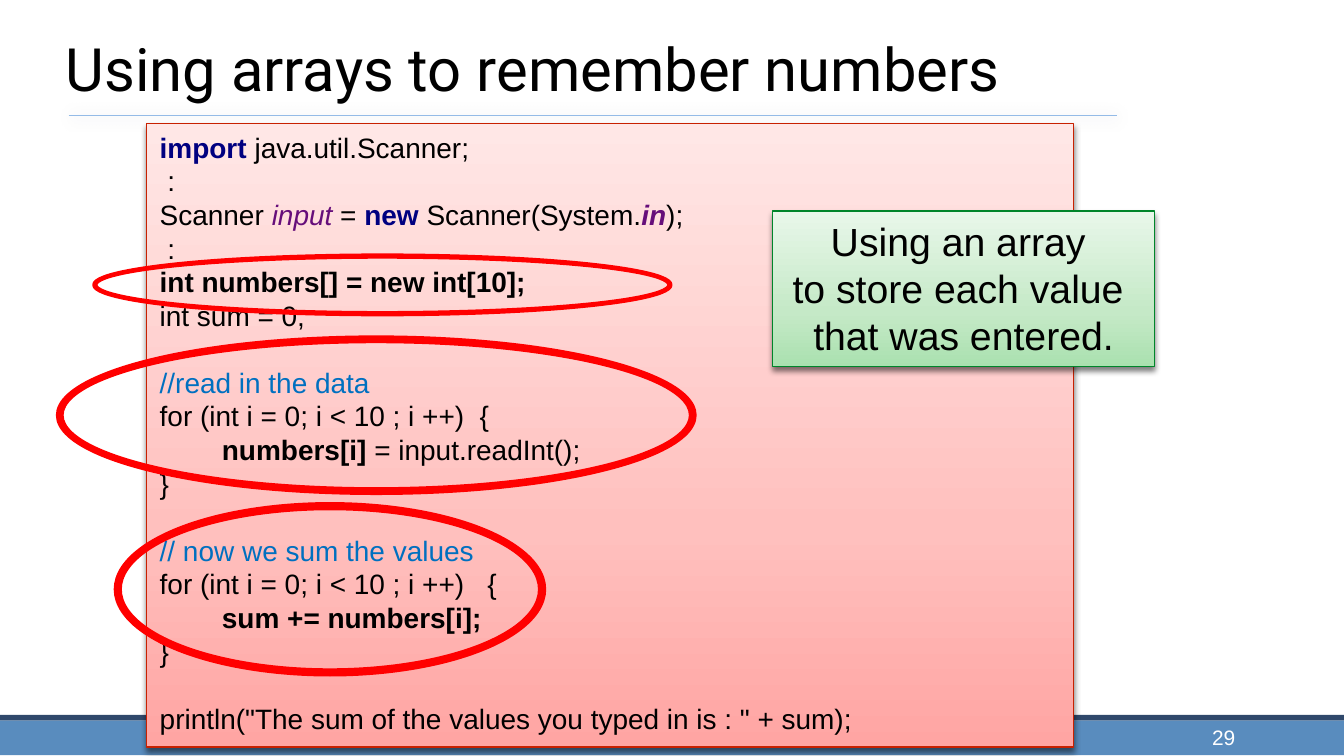
from dataclasses import dataclass
from typing import NamedTuple

from lxml import etree
from pptx import Presentation
from pptx.dml.color import RGBColor
from pptx.enum.shapes import MSO_CONNECTOR, MSO_SHAPE
from pptx.enum.text import MSO_ANCHOR, PP_ALIGN
from pptx.oxml.ns import qn
from pptx.util import Inches, Pt

RECTANGLE, DONUT = MSO_SHAPE.RECTANGLE, MSO_SHAPE.DONUT
STRAIGHT = MSO_CONNECTOR.STRAIGHT
TOP, BOTTOM = MSO_ANCHOR.TOP, MSO_ANCHOR.BOTTOM
LEFT, CENTER, RIGHT = PP_ALIGN.LEFT, PP_ALIGN.CENTER, PP_ALIGN.RIGHT


@dataclass(frozen=True)
class Theme:
    body_font: str = "Arial"
    title_font: str = "Roboto"
    title_size: float = 32
    code_size: float = 15
    callout_size: float = 21
    number_size: float = 11.2
    leading: float = 1.2
    ink: str = "000000"
    white: str = "FFFFFF"
    keyword: str = "000080"
    field: str = "660E7A"
    comment: str = "0070C0"
    ring: str = "FF0000"
    footer: str = "598CBE"
    footer_edge: str = "2F486B"
    rule: str = "94BBE7"
    rule_shadow: str = "003D62"
    code_line: str = "C82101"
    code_fill: tuple[str, ...] = ("FFA5A3", "FFC0BE", "FFE7E6")
    callout_line: str = "00852A"
    callout_fill: tuple[str, ...] = ("AAE1AF", "C5E9C7", "E8F7E9")


THEME = Theme()


class Box(NamedTuple):
    left: float
    top: float
    width: float
    height: float


class Run(NamedTuple):
    text: str
    color: str = THEME.ink
    bold: bool = False
    italic: bool = False


class Line(NamedTuple):
    runs: tuple[Run, ...]
    gap_before: bool = False


class Shadow(NamedTuple):
    color: str
    alpha: int
    blur: int
    distance: int
    angle: int


CARD_SHADOW = Shadow(THEME.ink, 50, 3, 2, 90)
RULE_SHADOW = Shadow(THEME.rule_shadow, 20, 8, 1, 45)

KEYWORD = {"color": THEME.keyword, "bold": True}
CODE = (
    Line((Run("import ", **KEYWORD), Run("java.util.Scanner;\v :"))),
    Line((Run("Scanner "), Run("input ", THEME.field, italic=True), Run("= "),
          Run("new ", **KEYWORD), Run("Scanner(System."),
          Run("in", THEME.field, True, True), Run(");"))),
    Line((Run(" :"),)),
    Line((Run("int numbers[] = new int[10];", bold=True),)),
    Line((Run("int sum = 0;"),)),
    Line((Run("//read in the data", THEME.comment),), True),
    Line((Run("for (int i = 0; i < 10 ; i ++)  {"),)),
    Line((Run("        "), Run("numbers[i] ", bold=True), Run("= input.readInt();"))),
    Line((Run("}"),)),
    Line((Run("// now we sum the values", THEME.comment),), True),
    Line((Run("for (int i = 0; i < 10 ; i ++)   {"),)),
    Line((Run("        "), Run("sum += numbers[i];", bold=True))),
    Line((Run("}"),)),
    Line((Run('println("The sum of the values you typed in is : " + sum);'),), True),
)
CALLOUT = tuple(Line((Run(text),)) for text in (
    "Using an array ", "to store each value ", "that was entered."))
RINGS = (Box(0.7, 1.9, 4.29, 0.44), Box(0.43, 2.51, 4.74, 1.16), Box(0.86, 3.75, 3.19, 1.27))


def inches(box: Box) -> list:
    return [Inches(value) for value in box]


def add_color(parent, color: str):
    return etree.SubElement(parent, qn("a:srgbClr"), val=color)


def cast_shadow(effects, shadow: Shadow) -> None:
    outer = etree.SubElement(
        effects, qn("a:outerShdw"), blurRad=str(Pt(shadow.blur)),
        dist=str(Pt(shadow.distance)), dir=str(shadow.angle * 60000),
        algn="tl", rotWithShape="0")
    etree.SubElement(add_color(outer, shadow.color), qn("a:alpha"), val=str(shadow.alpha * 1000))


def fill_upward(shape, colors: tuple[str, ...]) -> None:
    gradient = etree.Element(qn("a:gradFill"), rotWithShape="1")
    stops = etree.SubElement(gradient, qn("a:gsLst"))
    for position, color in zip((0, 35, 100), colors):
        add_color(etree.SubElement(stops, qn("a:gs"), pos=str(position * 1000)), color)
    etree.SubElement(gradient, qn("a:lin"), ang=str(270 * 60000), scaled="0")
    shape._element.spPr.find(qn("a:prstGeom")).addnext(gradient)


def outline(shape, color: str, width: float) -> None:
    shape.line.color.rgb = RGBColor.from_string(color)
    shape.line.width = Pt(width)


def add_solid(slide, kind, box: Box, color: str):
    shape = slide.shapes.add_shape(kind, *inches(box))
    shape.shadow.inherit = False
    shape.fill.solid()
    shape.fill.fore_color.rgb = RGBColor.from_string(color)
    shape.line.fill.background()
    return shape


def write(shape, lines: tuple[Line, ...], size: float, font: str = THEME.body_font,
          align=LEFT, anchor=TOP, inset: float | None = None, leading: float | None = None) -> None:
    frame = shape.text_frame
    frame_format = {"word_wrap": True, "vertical_anchor": anchor}
    if inset is not None:
        sides = ("left", "top", "right", "bottom")
        frame_format |= {f"margin_{side}": Inches(inset) for side in sides}
    for name, value in frame_format.items():
        setattr(frame, name, value)
    for index, line in enumerate(lines):
        paragraph = frame.add_paragraph() if index else frame.paragraphs[0]
        paragraph.alignment = align
        if leading:
            paragraph.line_spacing = Pt(size * leading)
        if line.gap_before:
            paragraph.space_before = Pt(size * THEME.leading)
        for part in line.runs:
            font_format = {"name": font, "size": Pt(size), "bold": part.bold, "italic": part.italic}
            for row, text in enumerate(part.text.split("\v")):
                if row:
                    paragraph.add_line_break()
                run = paragraph.add_run()
                run.text = text
                for name, value in font_format.items():
                    setattr(run.font, name, value)
                run.font.color.rgb = RGBColor.from_string(part.color)


def add_card(slide, box: Box, colors: tuple[str, ...], edge: str,
             lines: tuple[Line, ...], size: float, align=LEFT) -> None:
    card = slide.shapes.add_shape(RECTANGLE, *inches(box))
    fill_upward(card, colors)
    outline(card, edge, 0.75)
    card.shadow.inherit = False
    cast_shadow(card._element.spPr.find(qn("a:effectLst")), CARD_SHADOW)
    write(card, lines, size, align=align, leading=THEME.leading)


def add_title_rule(slide) -> None:
    rule = slide.shapes.add_connector(
        STRAIGHT, Inches(0.51), Inches(0.86), Inches(8.31), Inches(0.86))
    outline(rule, THEME.rule, 1)
    cast_shadow(etree.SubElement(rule._element.spPr, qn("a:effectLst")), RULE_SHADOW)


def add_ring(slide, box: Box) -> None:
    ring = add_solid(slide, DONUT, box, THEME.ring)
    ring.adjustments[0] = 0.026
    outline(ring, THEME.ring, 2)


def main() -> None:
    deck = Presentation()
    deck.slide_width, deck.slide_height = Inches(10), Inches(10 * 9 / 16)
    slide = deck.slides.add_slide(deck.slide_layouts[6])

    add_solid(slide, RECTANGLE, Box(0, 5.36, 10, 0.26), THEME.footer)
    add_solid(slide, RECTANGLE, Box(0, 5.32, 10, 0.04), THEME.footer_edge)
    add_title_rule(slide)
    add_card(slide, Box(1.09, 0.92, 6.9, 4.64), THEME.code_fill, THEME.code_line,
             CODE, THEME.code_size)
    title = slide.shapes.add_textbox(*inches(Box(0.43, 0, 8.5, 0.83)))
    write(title, (Line((Run("Using arrays to remember numbers"),)),), THEME.title_size,
          THEME.title_font, anchor=BOTTOM, inset=0.06)
    add_card(slide, Box(5.75, 1.57, 2.84, 1.16), THEME.callout_fill, THEME.callout_line,
             CALLOUT, THEME.callout_size, CENTER)
    for box in RINGS:
        add_ring(slide, box)
    page_number = slide.shapes.add_textbox(*inches(Box(7.17, 5.33, 2.08, 0.31)))
    write(page_number, (Line((Run("29", THEME.white),)),), THEME.number_size,
          align=RIGHT, anchor=BOTTOM, inset=0.06)
    deck.save("out.pptx")


if __name__ == "__main__":
    main()
